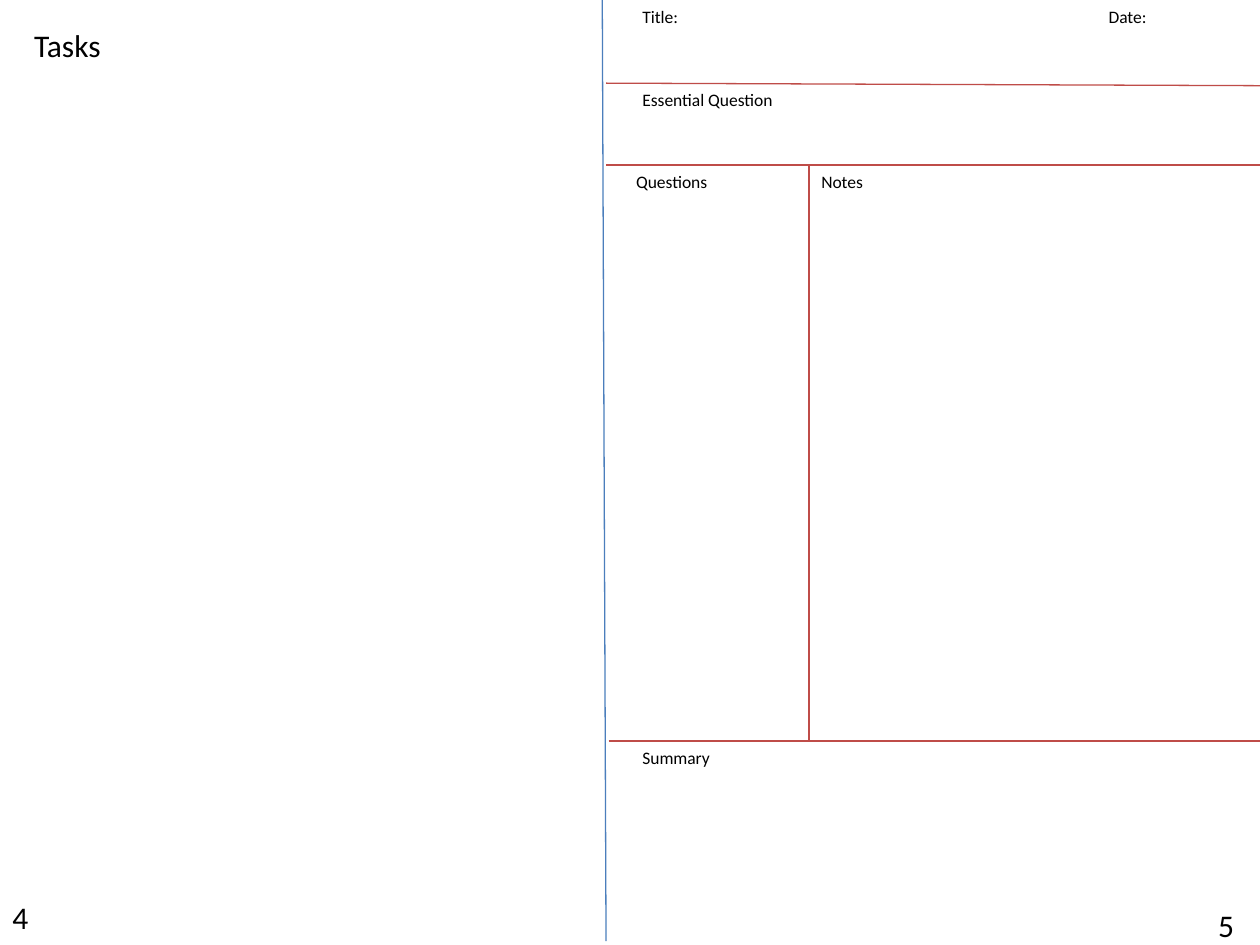
from dataclasses import dataclass

from lxml.etree import SubElement
from pptx import Presentation
from pptx.dml.color import RGBColor
from pptx.enum.shapes import MSO_CONNECTOR
from pptx.enum.text import MSO_ANCHOR, MSO_AUTO_SIZE, PP_ALIGN
from pptx.oxml.ns import qn
from pptx.util import Inches, Pt


@dataclass(frozen=True)
class Theme:
    font: str = "Calibri"
    ink: RGBColor = RGBColor(0, 0, 0)
    fold: RGBColor = RGBColor(0x4B, 0x7E, 0xBC)
    rule: RGBColor = RGBColor(0xBF, 0x4C, 0x48)
    large: Pt = Pt(18)
    small: Pt = Pt(10)
    stroke: Pt = Pt(0.75)


class Page:
    """Holds the theme and the slide being drawn."""

    def __init__(self, slide, theme):
        self.slide = slide
        self.theme = theme

    def line(self, start, end, color):
        ends = [Inches(v) for v in (*start, *end)]
        line = self.slide.shapes.add_connector(MSO_CONNECTOR.STRAIGHT, *ends)
        line.line.color.rgb = color
        line.line.width = self.theme.stroke
        SubElement(line._element.spPr, qn("a:effectLst"))

    def fill(self, shape, text, size, wrap):
        """Puts one styled run of text into a shape."""
        frame = shape.text_frame
        frame.word_wrap = wrap
        frame.auto_size = MSO_AUTO_SIZE.SHAPE_TO_FIT_TEXT
        frame.vertical_anchor = MSO_ANCHOR.TOP
        para = frame.paragraphs[0]
        para.alignment = PP_ALIGN.LEFT
        run = para.add_run()
        run.text = text
        run.font.name = self.theme.font
        run.font.size = size
        run.font.color.rgb = self.theme.ink

    def title(self, text, left, top, width, height):
        shape = self.slide.shapes.title
        shape.left, shape.top = Inches(left), Inches(top)
        shape.width, shape.height = Inches(width), Inches(height)
        self.fill(shape, text, self.theme.large, False)

    def label(self, text, left, top, width, wrap=False):
        box = self.slide.shapes.add_textbox(
            Inches(left), Inches(top), Inches(width), Inches(0.27))
        self.fill(box, text, self.theme.small, wrap)

    def number(self, text, left, top, width, wrap=False):
        box = self.slide.shapes.add_textbox(
            Inches(left), Inches(top), Inches(width), Inches(0.4))
        self.fill(box, text, self.theme.large, wrap)


def main():
    deck = Presentation()
    deck.slide_width, deck.slide_height = Inches(10), Inches(7.5)
    theme = Theme()
    page = Page(deck.slides.add_slide(deck.slide_layouts[5]), theme)

    fold, split, edge, margin = 4.81, 6.42, 10, 5
    ask, notes, sum_up = 0.66, 1.31, 5.88

    page.line((4.78, -0.02), (fold, 7.47), theme.fold)
    rules = [
        ((fold, ask), (edge, 0.68)),
        ((fold, notes), (edge, notes)),
        ((4.83, sum_up), (edge, sum_up)),
        ((split, notes), (split, sum_up)),
    ]
    for start, end in rules:
        page.line(start, end, theme.rule)

    page.title("Tasks", 0.17, 0.16, 0.73, 0.4)
    page.number("4", 0, 7.08, 0.33)
    page.number("5", 9.57, 7.14, 0.6, wrap=True)

    page.label("Title:", margin, 0, 3.7, wrap=True)
    page.label("Date:", 8.7, 0, 1.3, wrap=True)
    page.label("Essential Question", margin, ask, 1.25)
    page.label("Questions", 4.95, notes, 0.78)
    page.label("Notes", split, notes, 0.54)
    page.label("Summary", margin, sum_up, 0.74)

    deck.save("out.pptx")


if __name__ == "__main__":
    main()
